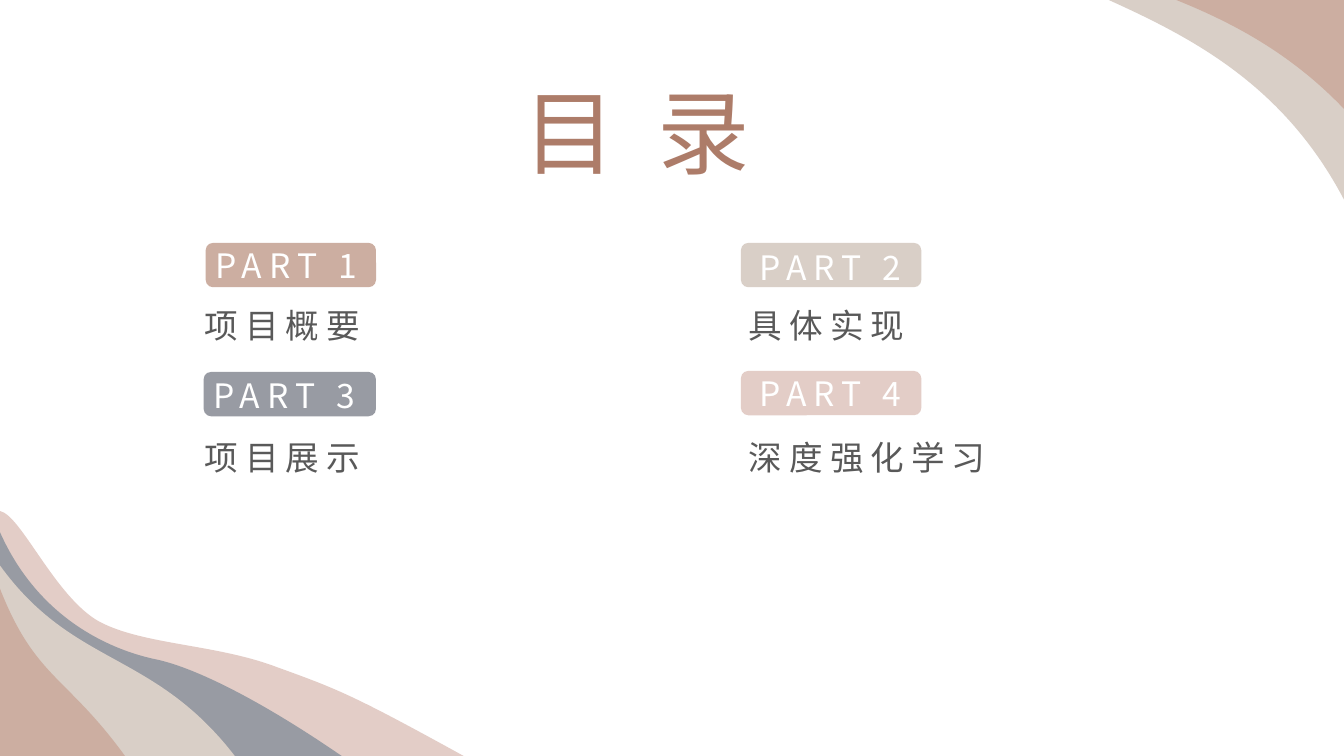
from dataclasses import dataclass
from lxml.etree import SubElement
from pptx import Presentation
from pptx.dml.color import RGBColor
from pptx.enum.shapes import MSO_SHAPE
from pptx.enum.text import MSO_ANCHOR, MSO_AUTO_SIZE, PP_ALIGN
from pptx.oxml.ns import qn
from pptx.util import Inches, Pt


@dataclass(frozen=True)
class Theme:
    font: str = "Noto Sans CJK SC"
    clay: str = "CCAEA1"
    sand: str = "D9CFC7"
    slate: str = "989BA3"
    blush: str = "E3CDC7"
    title: str = "AD7C69"
    label: str = "FFFFFF"
    body: str = "595959"
    title_size: int = 66
    body_size: int = 24


theme = Theme()


def write(sp, box, text, size, color, spacing):
    sp.left, sp.top, sp.width, sp.height = [Inches(v) for v in box]
    tf = sp.text_frame
    tf.word_wrap = True
    tf.auto_size = MSO_AUTO_SIZE.NONE
    tf.vertical_anchor = MSO_ANCHOR.TOP
    p = tf.paragraphs[0]
    p.alignment = PP_ALIGN.LEFT
    p.space_before = Pt(0)
    pPr = p._p.get_or_add_pPr()
    pPr.set("marL", "0")
    pPr.set("indent", "0")
    SubElement(pPr, qn("a:buNone"))
    r = p.add_run()
    r.text = text
    r.font.name = theme.font
    r.font.size = Pt(size)
    r.font.bold = False
    r.font.color.rgb = RGBColor.from_string(color)
    rPr = r._r.get_or_add_rPr()
    rPr.set("spc", str(int(spacing * 100)))
    SubElement(rPr, qn("a:ea"), typeface=theme.font)


def paint(sp, color):
    sp.shadow.inherit = False
    sp.fill.solid()
    sp.fill.fore_color.rgb = RGBColor.from_string(color)
    sp.line.fill.background()


prs = Presentation()
prs.slide_width, prs.slide_height = Inches(13.333), Inches(7.5)
s = prs.slides.add_slide(prs.slide_layouts.get_by_name("Comparison"))
for sp in list(s.placeholders):
    if sp.placeholder_format.idx >= 10:
        sp._element.getparent().remove(sp._element)

write(s.shapes.title, (5.09, 0.7, 3.14, 1.21), "目 录", theme.title_size, theme.title, 7.6)

top_right, bottom_left = (13.333, 0), (0, 7.5)
waves = [
    (theme.sand, top_right, (13.333, 1.98), [(12.74, 0.85), (11.84, 0.38), (11, 0)]),
    (theme.blush, bottom_left, (0, 5.07), [
        (0.21, 5.11), (0.55, 5.93), (0.99, 6.17),
        (1.43, 6.4), (2.15, 6.39), (2.75, 6.62),
        (3.36, 6.84), (3.51, 6.9), (4.6, 7.5),
    ]),
    (theme.slate, bottom_left, (0, 5.28), [
        (0.4, 6.18), (1.16, 6.46), (1.54, 6.54),
        (1.93, 6.62), (2.59, 6.95), (3.39, 7.5),
    ]),
    (theme.sand, bottom_left, (0, 5.61), [(0.73, 6.62), (1.52, 6.45), (2.33, 7.5)]),
    (theme.clay, bottom_left, (0, 5.84), [(0.35, 6.73), (0.66, 6.7), (1.24, 7.5)]),
    (theme.clay, bottom_left, (0, 6.41), [(0.24, 6.9), (0.41, 7.16), (0.88, 7.5)]),
    (theme.clay, top_right, (13.333, 1.08), [(12.79, 0.51), (12.19, 0.21), (11.67, 0)]),
]
for color, corner, start, curve in waves:
    fb = s.shapes.build_freeform(Inches(corner[0]), Inches(corner[1]))
    fb.add_line_segments([(Inches(x), Inches(y)) for x, y in [start, *curve]], close=True)
    sp = fb.convert_to_shape()
    paint(sp, color)
    lines = list(sp._element.iter(qn("a:lnTo")))[1:len(curve) + 1]
    for i in range(0, len(lines), 3):
        bend = SubElement(lines[i].getparent(), qn("a:cubicBezTo"))
        lines[i].addprevious(bend)
        for line in lines[i:i + 3]:
            bend.append(line[0])
            line.getparent().remove(line)

parts = [
    ("项目概要", theme.clay, (2.04, 2.41, 1.69, 0.44), (2.04, 2.38, 2.46, 0.5)),
    ("具体实现", theme.sand, (7.35, 2.41, 1.79, 0.44), (7.44, 2.4, 2.09, 0.5)),
    ("项目展示", theme.slate, (2.02, 3.69, 1.71, 0.44), (2.02, 3.67, 2.09, 0.5)),
    ("深度强化学习", theme.blush, (7.35, 3.68, 1.79, 0.44), (7.44, 3.65, 2.09, 0.5)),
]
for i, (name, color, pill, label) in enumerate(parts):
    row, col = divmod(i, 2)
    sp = s.shapes.add_shape(MSO_SHAPE.ROUNDED_RECTANGLE, *[Inches(v) for v in pill])
    paint(sp, color)
    sp = s.shapes.add_textbox(*[Inches(v) for v in label])
    write(sp, label, f"PART {i + 1}", theme.body_size, theme.label, 5)
    box = (1.93 + 5.4 * col, 2.97 + 1.31 * row, 4.23, 0.5)
    write(s.placeholders[i + 1], box, name, theme.body_size, theme.body, 5)

prs.save("out.pptx")
